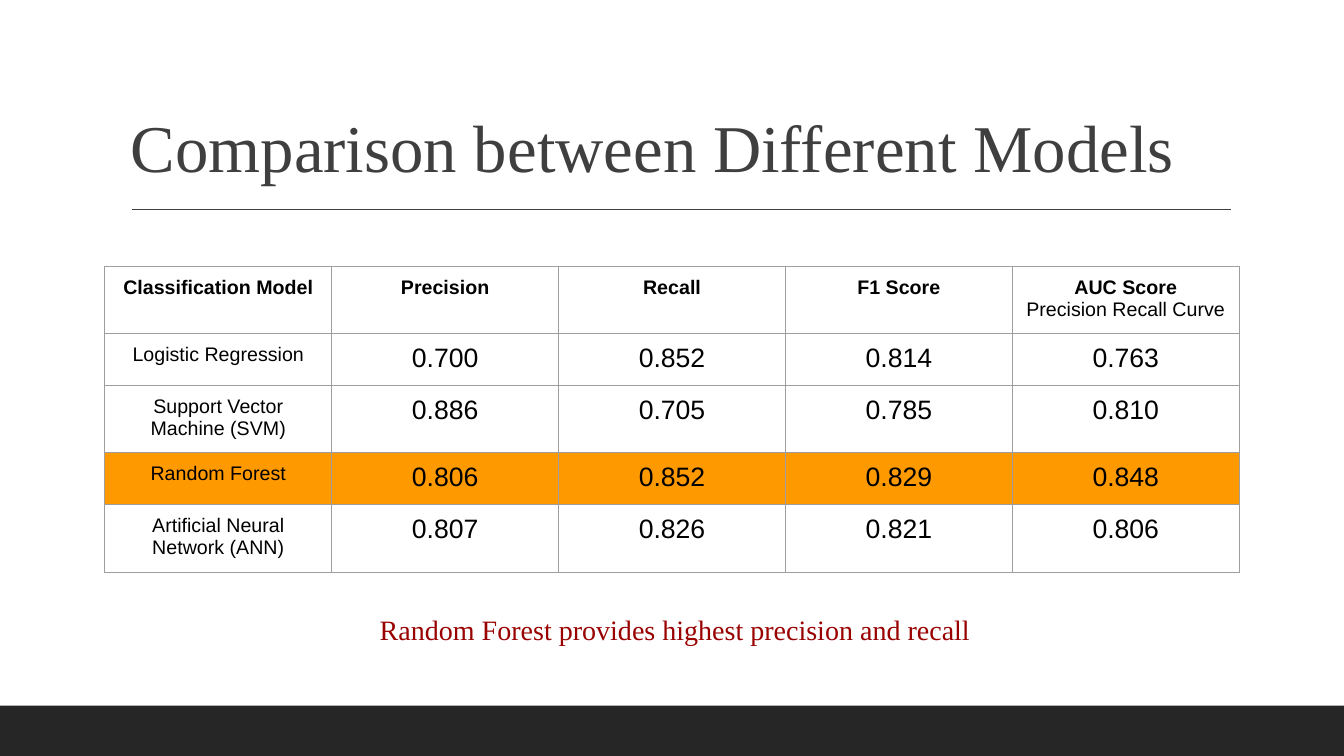
from lxml import etree
from pptx import Presentation
from pptx.dml.color import RGBColor
from pptx.enum.shapes import MSO_CONNECTOR, MSO_SHAPE
from pptx.enum.text import MSO_ANCHOR, PP_ALIGN
from pptx.oxml.ns import qn
from pptx.util import Inches, Pt

RECT = MSO_SHAPE.RECTANGLE
LINE = MSO_CONNECTOR.STRAIGHT
TOP, BOTTOM = MSO_ANCHOR.TOP, MSO_ANCHOR.BOTTOM
LEFT, CENTER = PP_ALIGN.LEFT, PP_ALIGN.CENTER

WIDE, HIGH = 13.33, 7.5
SERIF, SANS = "Times New Roman", "Arial"
COLORS = {"title": "3F3F3F", "band": "262626", "note": "990000",
          "text": "000000", "best": "FF9900", "grid": "9E9E9E"}
BEST = "Random Forest"
HEADS = ["Classification Model", "Precision", "Recall", "F1 Score",
         "AUC Score\nPrecision Recall Curve"]
SCORES = [
    ["Logistic Regression", "0.700", "0.852", "0.814", "0.763"],
    ["Support Vector Machine (SVM)", "0.886", "0.705", "0.785", "0.810"],
    [BEST, "0.806", "0.852", "0.829", "0.848"],
    ["Artificial Neural Network (ANN)", "0.807", "0.826", "0.821", "0.806"],
]
TALL, SHORT = 0.63, 0.49
ROWS = [TALL, SHORT, TALL, SHORT, TALL]


def color(name):
    """Return the named color."""
    return RGBColor.from_string(COLORS[name])


def style(para, size, face, name, align, bold=False):
    """Set the font and alignment of a paragraph."""
    para.alignment = align
    font = para.font
    font.size, font.name, font.bold = Pt(size), face, bold
    font.color.rgb = color(name)


def add_text(slide, box, text, size, name, align, anchor, pad):
    """Add one line of serif text in the box."""
    frame = slide.shapes.add_textbox(*map(Inches, box)).text_frame
    frame.word_wrap = True
    frame.vertical_anchor = anchor
    frame.margin_left = frame.margin_right = Inches(0.1)
    frame.margin_top = frame.margin_bottom = Inches(pad)
    para = frame.paragraphs[0]
    para.text = text
    style(para, size, SERIF, name, align)
    return para


def add_band(slide, box):
    """Add the dark band at the foot of the slide."""
    band = slide.shapes.add_shape(RECT, *map(Inches, box))
    band.shadow.inherit = False
    band.fill.solid()
    band.fill.fore_color.rgb = color("band")
    band.line.fill.background()


def add_head(slide, box):
    """Add the title in the box and the rule below it."""
    x, y, w, h = box
    para = add_text(slide, box, "Comparison between Different Models",
                    47.7, "title", LEFT, BOTTOM, 0.05)
    para.line_spacing = 0.9
    rule = y + h + 0.18
    ends = x + 0.11, rule, x + w + 0.01, rule
    line = slide.shapes.add_connector(LINE, *map(Inches, ends))
    line.line.color.rgb = color("title")
    line.line.width = Pt(1)
    etree.SubElement(line._element.spPr, qn("a:effectLst"))


def add_edges(cell):
    """Draw the four thin borders of a cell."""
    props = cell._tc.get_or_add_tcPr()
    for side in "LRTB":
        edge = etree.SubElement(props, qn(f"a:ln{side}"), w=str(Pt(0.75)))
        fill = etree.SubElement(edge, qn("a:solidFill"))
        etree.SubElement(fill, qn("a:srgbClr"), val=COLORS["grid"])


def fill_cell(cell, text, size, bold, best):
    """Write and style one cell; only its first line may be bold."""
    cell.text = text
    cell.vertical_anchor = TOP
    cell.margin_left = cell.margin_right = Inches(0.1)
    cell.margin_top = cell.margin_bottom = Inches(0.1)
    for i, para in enumerate(cell.text_frame.paragraphs):
        style(para, size, SANS, "text", CENTER, bold and i == 0)
    add_edges(cell)
    if best:
        cell.fill.solid()
        cell.fill.fore_color.rgb = color("best")
    else:
        cell.fill.background()


def add_scores(slide, box):
    """Add the table of scores in the box."""
    data = [HEADS] + SCORES
    frame = slide.shapes.add_table(len(data), len(HEADS), *map(Inches, box))
    table = frame.table
    table.first_row = table.horz_banding = False
    for col in table.columns:
        col.width = Inches(box[2] / len(HEADS))
    for r, (row, high) in enumerate(zip(data, ROWS)):
        table.rows[r].height = Inches(high)
        for c, text in enumerate(row):
            size = 19 if r and c else 14
            fill_cell(table.cell(r, c), text, size, r == 0, row[0] == BEST)


def main():
    """Build the slide and save it."""
    deck = Presentation()
    deck.slide_width, deck.slide_height = Inches(WIDE), Inches(HIGH)
    slide = deck.slides.add_slide(deck.slide_layouts[6])
    add_band(slide, (0, HIGH - 0.5, WIDE, 0.5))
    add_head(slide, (1.2, 0.31, 11, 1.59))
    add_text(slide, (2.75, 5.98, 7.89, 0.7),
             "Random Forest provides highest precision and recall",
             20, "note", CENTER, TOP, 0.1)
    add_scores(slide, (1.04, 2.64, 11.25, sum(ROWS)))
    deck.save("out.pptx")


if __name__ == "__main__":
    main()
